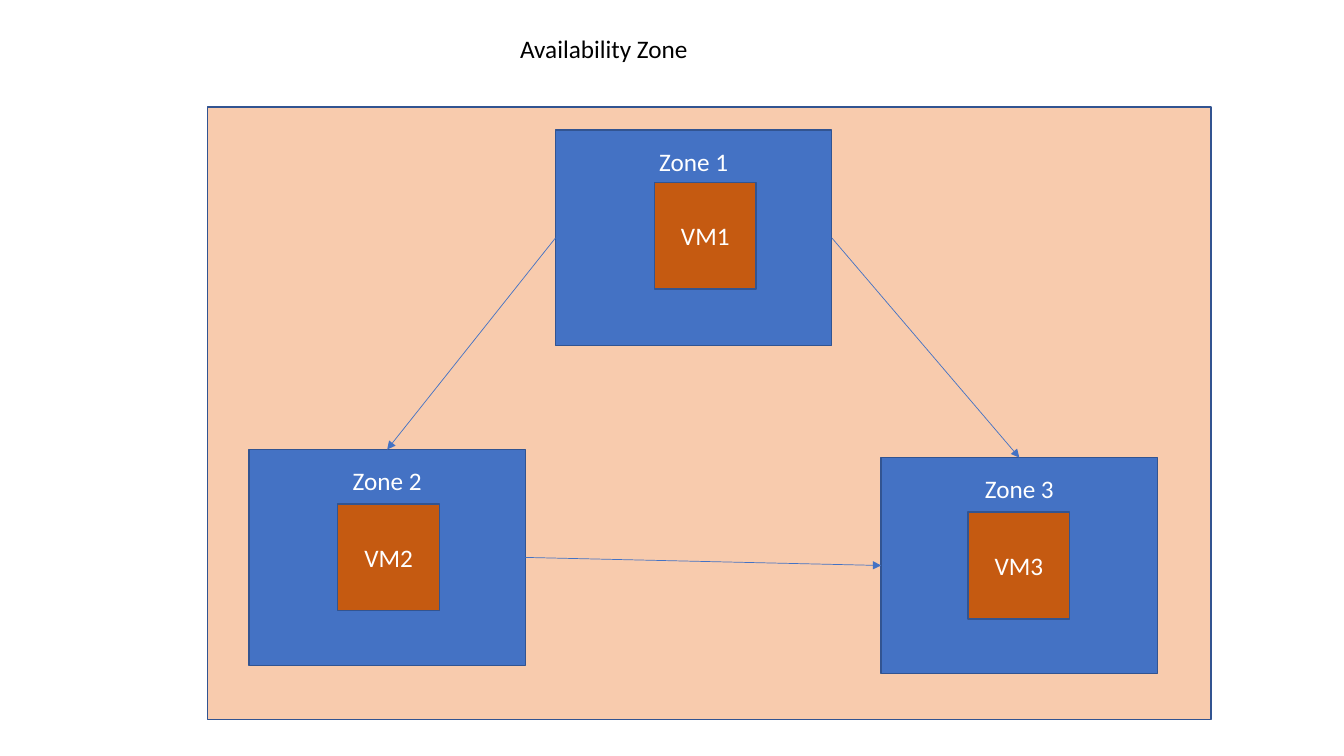
from dataclasses import dataclass

from lxml import etree
from pptx import Presentation
from pptx.dml.color import RGBColor
from pptx.enum.shapes import MSO_CONNECTOR, MSO_SHAPE
from pptx.enum.text import MSO_ANCHOR, PP_ALIGN
from pptx.oxml.ns import qn
from pptx.util import Inches, Pt

RECTANGLE = MSO_SHAPE.RECTANGLE
STRAIGHT = MSO_CONNECTOR.STRAIGHT
TOP, MIDDLE = MSO_ANCHOR.TOP, MSO_ANCHOR.MIDDLE
LEFT_ALIGNED, CENTERED = PP_ALIGN.LEFT, PP_ALIGN.CENTER

# Connection sites of a rectangle
TOP_SITE, LEFT_SITE, RIGHT_SITE = 0, 1, 3


@dataclass(frozen=True)
class Theme:
    font: str = "Calibri"
    text_size: int = 18
    region: str = "F8CBAD"
    zone: str = "4472C4"
    machine: str = "C55A11"
    outline: str = "325491"
    arrow: str = "4472C4"
    light_text: str = "FFFFFF"
    dark_text: str = "000000"
    outline_width: float = 1
    arrow_width: float = 0.5


THEME = Theme()
ZONE_SIZE = (2.74, 2.14)
MACHINE_SIZE = (1.01, 1.06)
ZONE_LABEL_INSET = 0.16

# Zone name, zone position, machine name, machine position
ZONES = [
    ("Zone 1", (5.51, 1.29), "VM1", (6.49, 1.81)),
    ("Zone 2", (2.47, 4.46), "VM2", (3.35, 5.0)),
    ("Zone 3", (8.74, 4.54), "VM3", (9.6, 5.08)),
]

# Start zone, start site, end zone, end site
LINKS = [
    ("Zone 1", LEFT_SITE, "Zone 2", TOP_SITE),
    ("Zone 1", RIGHT_SITE, "Zone 3", TOP_SITE),
    ("Zone 2", RIGHT_SITE, "Zone 3", LEFT_SITE),
]


def write_text(shape, text, color, alignment):
    shape.text_frame.text = text
    paragraph = shape.text_frame.paragraphs[0]
    paragraph.alignment = alignment
    font = paragraph.runs[0].font
    font.name = THEME.font
    font.size = Pt(THEME.text_size)
    font.color.rgb = RGBColor.from_string(color)


def add_box(slide, position, size, fill, text="", anchor=MIDDLE):
    shape = slide.shapes.add_shape(RECTANGLE, *map(Inches, position + size))
    shape.shadow.inherit = False
    shape.fill.solid()
    shape.fill.fore_color.rgb = RGBColor.from_string(fill)
    shape.line.color.rgb = RGBColor.from_string(THEME.outline)
    shape.line.width = Pt(THEME.outline_width)
    if text:
        write_text(shape, text, THEME.light_text, CENTERED)
        shape.text_frame.vertical_anchor = anchor
    return shape


def add_zone(slide, name, position):
    zone = add_box(slide, position, ZONE_SIZE, THEME.zone, name, TOP)
    zone.text_frame.margin_top = Inches(ZONE_LABEL_INSET)
    return zone


def add_arrow(slide, start, start_site, end, end_site):
    connector = slide.shapes.add_connector(STRAIGHT, 0, 0, 0, 0)
    connector.begin_connect(start, start_site)
    connector.end_connect(end, end_site)
    connector.line.color.rgb = RGBColor.from_string(THEME.arrow)
    connector.line.width = Pt(THEME.arrow_width)
    # Arrowhead at the end, and no shadow
    line = connector.line._get_or_add_ln()
    etree.SubElement(line, qn("a:tailEnd"), type="triangle")
    etree.SubElement(connector._element.spPr, qn("a:effectLst"))


def add_title(slide, text):
    title = slide.shapes.add_textbox(*map(Inches, (5.06, 0.28, 3.41, 0.4)))
    title.text_frame.word_wrap = True
    write_text(title, text, THEME.dark_text, LEFT_ALIGNED)


def main():
    presentation = Presentation()
    presentation.slide_width = Inches(13.33)
    presentation.slide_height = Inches(7.5)
    slide = presentation.slides.add_slide(presentation.slide_layouts[6])

    # Region behind the zones
    add_box(slide, (2.06, 1.06), (9.95, 6.08), THEME.region)

    # Zones with their machines
    zones = {}
    for zone_name, zone_position, machine_name, machine_position in ZONES:
        zones[zone_name] = add_zone(slide, zone_name, zone_position)
        add_box(slide, machine_position, MACHINE_SIZE, THEME.machine, machine_name)

    # Arrows between the zones
    for start, start_site, end, end_site in LINKS:
        add_arrow(slide, zones[start], start_site, zones[end], end_site)

    add_title(slide, "Availability Zone")
    presentation.save("out.pptx")


main()
